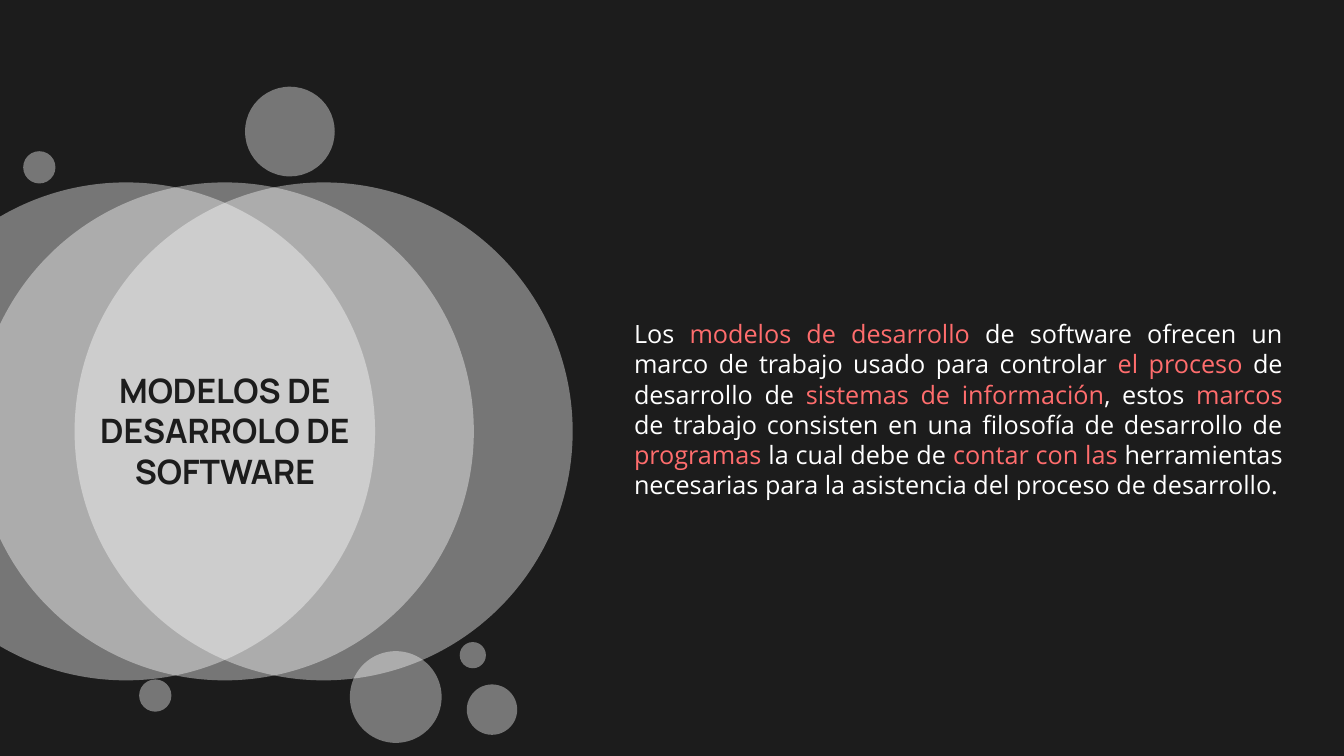
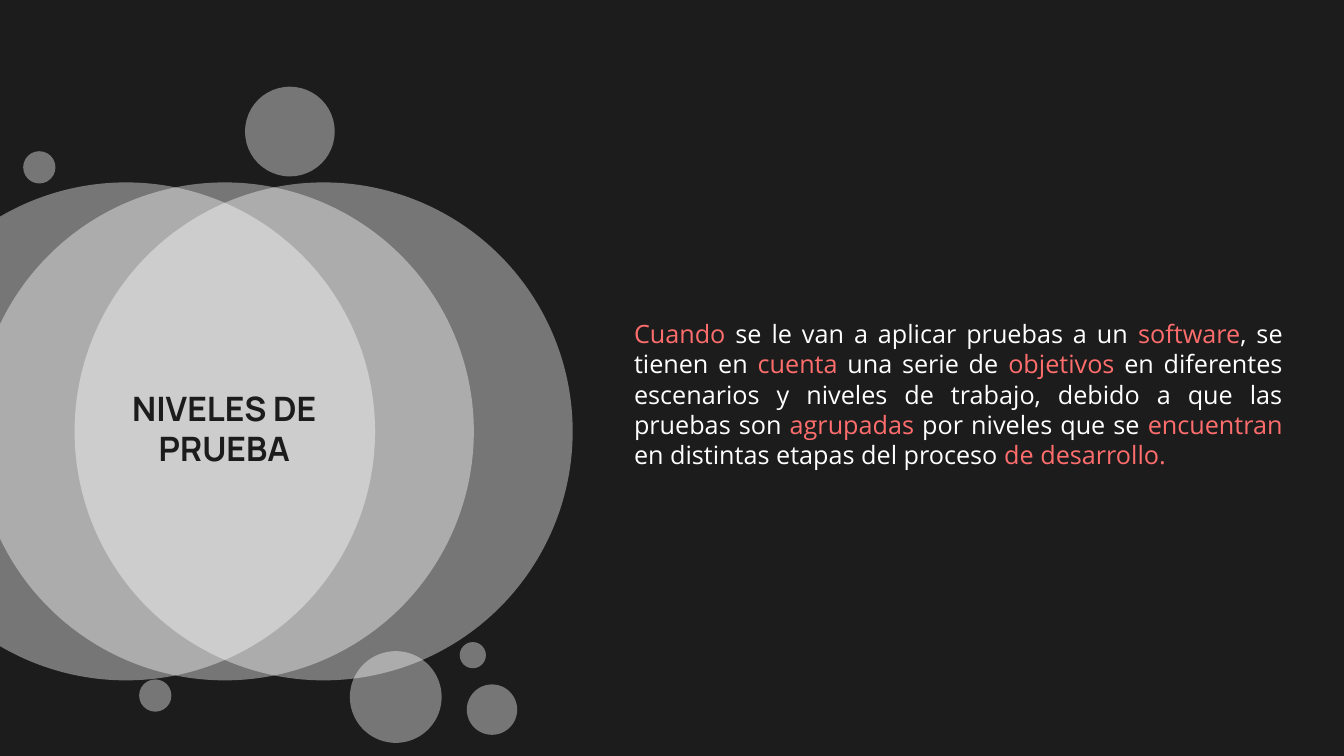
from dataclasses import dataclass

from lxml.etree import SubElement
from pptx import Presentation
from pptx.dml.color import RGBColor
from pptx.enum.shapes import MSO_SHAPE as Preset
from pptx.enum.text import MSO_ANCHOR as Anchor, MSO_AUTO_SIZE as AutoSize, PP_ALIGN as Align
from pptx.oxml.ns import qn
from pptx.slide import Slide
from pptx.util import Emu, Pt

# Scale: 100 px to the inch
EMU_PER_PX = 9144
SLIDE_WIDTH, SLIDE_HEIGHT = 1333, 750
BLANK_LAYOUT = 6

# Theme
DARK = RGBColor(0x1C, 0x1C, 0x1C)
WHITE = RGBColor(0xFF, 0xFF, 0xFF)
CORAL = RGBColor(0xFF, 0x6D, 0x6D)
TITLE_FONT, BODY_FONT = "Manrope", "Open Sans"
CIRCLE_OPACITY = 40
MARK = "*"  # encloses highlighted words


@dataclass(frozen=True)
class Box:
    left: int
    top: int
    width: int
    height: int


@dataclass(frozen=True)
class Circle:
    left: int
    top: int
    diameter: int


@dataclass(frozen=True)
class Topic:
    title: str
    title_box: Box
    body: str
    body_box: Box


# Three overlapping circles, outer ones behind the middle one
VENN_LEFT, VENN_STEP = -122, 98
VENN = [Circle(VENN_LEFT + VENN_STEP * place, 181, 494) for place in (0, 2, 1)]

BUBBLES = [
    Circle(243, 86, 89),
    Circle(23, 150, 32),
    Circle(463, 679, 50),
    Circle(347, 646, 91),
    Circle(138, 674, 32),
    Circle(456, 637, 26),
]

TOPICS = [
    Topic(
        "MODELOS DE DESARROLO DE SOFTWARE",
        Box(24, 362, 398, 131),
        "Los *modelos de desarrollo* de software ofrecen un marco de trabajo usado "
        "para controlar *el proceso* de desarrollo de *sistemas de información*, "
        "estos *marcos* de trabajo consisten en una filosofía de desarrollo de "
        "*programas* la cual debe de *contar con las* herramientas necesarias para "
        "la asistencia del proceso de desarrollo.",
        Box(619, 311, 663, 192),
    ),
    Topic(
        "NIVELES DE PRUEBA",
        Box(61, 380, 323, 91),
        "*Cuando* se le van a aplicar pruebas a un *software*, se tienen en *cuenta* "
        "una serie de *objetivos* en diferentes escenarios y niveles de trabajo, "
        "debido a que las pruebas son *agrupadas* por niveles que se *encuentran* "
        "en distintas etapas del proceso *de desarrollo.*",
        Box(619, 311, 663, 162),
    ),
]


def px(length: int) -> Emu:
    return Emu(length * EMU_PER_PX)


def add_circle(slide: Slide, circle: Circle) -> None:
    """Draw a translucent white circle without outline."""
    shape = slide.shapes.add_shape(
        Preset.OVAL, px(circle.left), px(circle.top), px(circle.diameter), px(circle.diameter)
    )
    shape.shadow.inherit = False
    shape.line.fill.background()
    shape.fill.solid()
    shape.fill.fore_color.rgb = WHITE
    color = shape.element.spPr.find(qn("a:solidFill")).find(qn("a:srgbClr"))
    SubElement(color, qn("a:alpha"), val=str(CIRCLE_OPACITY * 1000))


def add_text(
    slide: Slide,
    text: str,
    box: Box,
    *,
    font: str,
    size: int,
    color: RGBColor,
    align: Align,
    bold: bool = False,
) -> None:
    """Add a paragraph; words between marks take the highlight colour."""
    shape = slide.shapes.add_textbox(px(box.left), px(box.top), px(box.width), px(box.height))
    frame = shape.text_frame
    frame.word_wrap = True
    frame.auto_size = AutoSize.SHAPE_TO_FIT_TEXT
    frame.vertical_anchor = Anchor.TOP
    paragraph = frame.paragraphs[0]
    paragraph.alignment = align
    for index, piece in enumerate(text.split(MARK)):
        if not piece:
            continue
        run = paragraph.add_run()
        run.text = piece
        run.font.name = font
        run.font.size = Pt(size)
        run.font.bold = bold
        run.font.color.rgb = CORAL if index % 2 else color


def add_topic_slide(presentation: Presentation, topic: Topic) -> None:
    slide = presentation.slides.add_slide(presentation.slide_layouts[BLANK_LAYOUT])
    slide.background.fill.solid()
    slide.background.fill.fore_color.rgb = DARK

    for circle in VENN:
        add_circle(slide, circle)
    add_text(slide, topic.title, topic.title_box,
             font=TITLE_FONT, size=24, color=DARK, align=Align.CENTER, bold=True)
    add_text(slide, topic.body, topic.body_box,
             font=BODY_FONT, size=18, color=WHITE, align=Align.JUSTIFY)
    for bubble in BUBBLES:
        add_circle(slide, bubble)


def main() -> None:
    presentation = Presentation()
    presentation.slide_width = px(SLIDE_WIDTH)
    presentation.slide_height = px(SLIDE_HEIGHT)
    for topic in TOPICS:
        add_topic_slide(presentation, topic)
    presentation.save("out.pptx")


if __name__ == "__main__":
    main()
